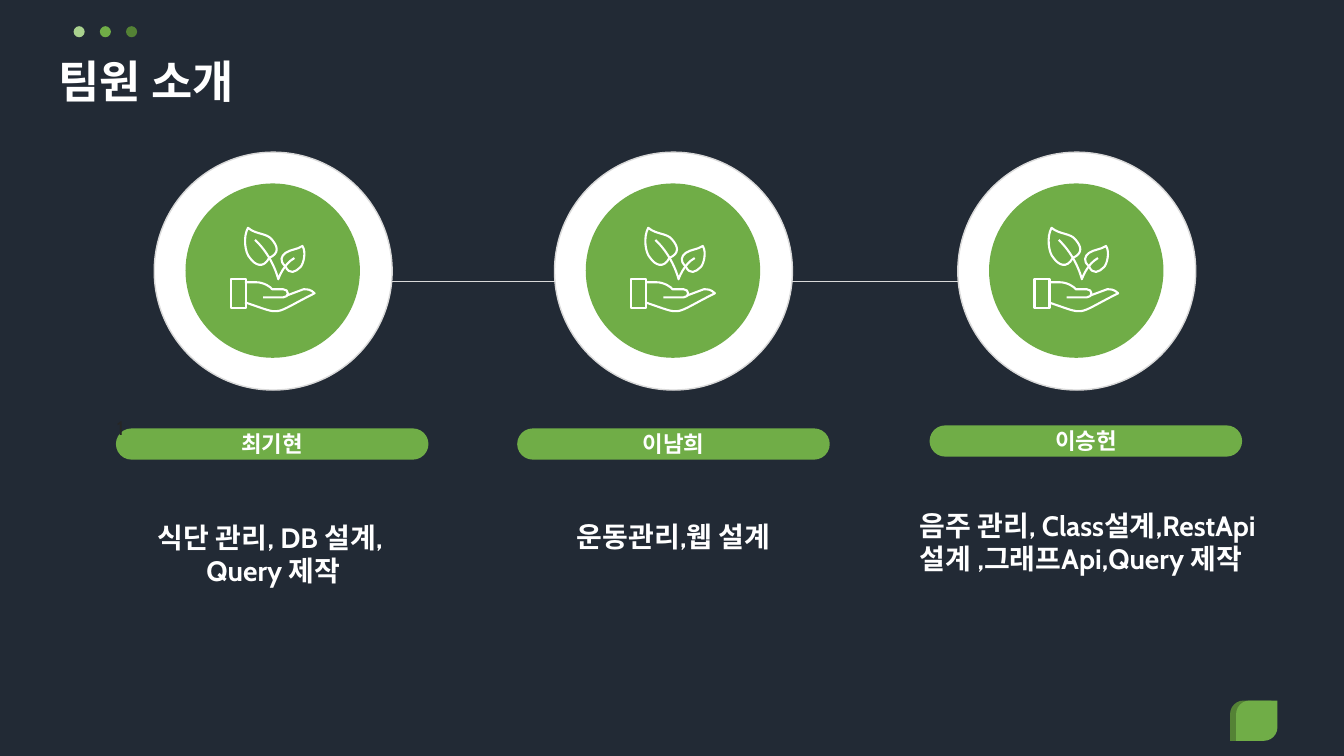
"""Build the team introduction slide."""
from dataclasses import dataclass

from lxml.etree import SubElement
from pptx import Presentation
from pptx.dml.color import RGBColor
from pptx.enum.shapes import MSO_CONNECTOR, MSO_SHAPE
from pptx.enum.text import MSO_ANCHOR, PP_ALIGN
from pptx.oxml.ns import qn
from pptx.util import Inches, Pt

COLORS = {
    "background": "222A35", "white": "FFFFFF", "rule": "D9D9D9", "number": "262626",
    "light": "A9D18E", "green": "70AD47", "dark": "548235",
}
FONT = "Cabin"
BADGE_TOP = 1.51


@dataclass(frozen=True)
class Member:
    name: str
    badge_left: float
    pill_left: float
    pill_top: float
    duty_box: tuple[float, float, float, float]
    duties: tuple[str, ...]
    duty_align: PP_ALIGN


@dataclass(frozen=True)
class Stroke:
    start: tuple[float, float]
    curves: tuple[tuple[float, float, float, float, float, float], ...]
    closed: bool = False


MEMBERS = (
    Member("최기현", 1.53, 1.15, 4.25, (0.89, 5.16, 3.58, 0.73),
           ("식단 관리, DB 설계,", " Query 제작"), PP_ALIGN.CENTER),
    Member("이남희", 5.5, 5.13, 4.25, (4.89, 5.15, 3.58, 0.59),
           ("운동관리,웹 설계",), PP_ALIGN.CENTER),
    Member("이승헌", 9.5, 9.22, 4.22, (9.12, 5.04, 3.58, 1.15),
           ("음주 관리, Class설계,RestApi 설계 ,그래프Api,Query 제작",), PP_ALIGN.LEFT),
)

PLANT_IN_HAND = (
    Stroke((1.3, 1), ((1.26, 1.03, 1.24, 1.08, 1.3, 1.13), (1.34, 1.22, 1.4, 1.19, 1.45, 1.14),
                      (1.48, 1.11, 1.51, 0.99, 1.47, 0.93), (1.41, 0.97, 1.36, 0.96, 1.3, 1)), True),
    Stroke((1.17, 0.87), ((1.22, 0.93, 1.25, 1, 1.14, 1.05), (1.08, 1.16, 1, 1.12, 0.95, 1.05),
                          (0.9, 1, 0.88, 0.84, 0.93, 0.75), (1.01, 0.82, 1.12, 0.8, 1.17, 0.87)), True),
    Stroke((1.39, 1.05), ((1.28, 1.11, 1.23, 1.26, 1.23, 1.26), (1.23, 1.26, 1.18, 1.04, 1, 0.87))),
    Stroke((0.9, 1.49), ((1.29, 1.62, 1.15, 1.62, 1.59, 1.4), (1.55, 1.36, 1.52, 1.36, 1.48, 1.36),
                         (1.32, 1.42, 1.32, 1.42, 1.32, 1.42))),
    Stroke((0.9, 1.29), ((1.01, 1.29, 1.01, 1.29, 1.01, 1.29), (1.09, 1.29, 1.16, 1.34, 1.17, 1.36),
                         (1.17, 1.36, 1.23, 1.36, 1.28, 1.36), (1.34, 1.36, 1.34, 1.44, 1.28, 1.44),
                         (1.08, 1.44, 1.08, 1.44, 1.08, 1.44))),
)


def color(key: str) -> RGBColor:
    """Return the named colour."""
    return RGBColor.from_string(COLORS[key])


def style(figure, fill: str | None = None, line: str | None = None, width: float = 1) -> None:
    """Set fill and outline and drop the shadow."""
    figure.shadow.inherit = False
    if fill:
        figure.fill.solid()
        figure.fill.fore_color.rgb = color(fill)
    else:
        figure.fill.background()
    if line:
        figure.line.color.rgb = color(line)
        figure.line.width = Pt(width)
    else:
        figure.line.fill.background()


def add_figure(canvas, preset: MSO_SHAPE, box: tuple[float, ...], fill: str | None = None,
               line: str | None = None, width: float = 1):
    """Add a styled preset shape to a slide or group."""
    figure = canvas.shapes.add_shape(preset, *map(Inches, box))
    style(figure, fill, line, width)
    return figure


def write(frame, lines: tuple[str, ...], size: float, align: PP_ALIGN,
          ink: str = "white", bold: bool = True) -> None:
    """Fill a text frame with formatted paragraphs."""
    frame.word_wrap = True
    frame.text = "\n".join(lines)
    for paragraph in frame.paragraphs:
        paragraph.alignment = align
        paragraph.font.name = FONT
        paragraph.font.size = Pt(size)
        paragraph.font.bold = bold
        paragraph.font.color.rgb = color(ink)


def set_margins(frame, side: float) -> None:
    """Set side margins and clear those above and below."""
    frame.margin_left = frame.margin_right = Inches(side)
    frame.margin_top = frame.margin_bottom = 0


def add_note(slide, box: tuple[float, ...], lines: tuple[str, ...], size: float,
             align: PP_ALIGN, ink: str = "white", bold: bool = True) -> None:
    """Add a text box without margins."""
    frame = slide.shapes.add_textbox(*map(Inches, box)).text_frame
    set_margins(frame, 0)
    write(frame, lines, size, align, ink, bold)


def add_stroke(canvas, stroke: Stroke, left: float) -> None:
    """Draw a stroke, turning each three segments into one cubic curve."""
    points = [stroke.start]
    for curve in stroke.curves:
        points += zip(curve[::2], curve[1::2])
    placed = [(Inches(left + x), Inches(BADGE_TOP + y)) for x, y in points]
    builder = canvas.shapes.build_freeform(*placed[0])
    builder.add_line_segments(placed[1:], close=stroke.closed)
    outline = builder.convert_to_shape()
    style(outline, line="white", width=1.5)
    segments = list(outline._element.iter(qn("a:lnTo")))
    for first in range(0, len(segments), 3):
        cubic = SubElement(segments[first].getparent(), qn("a:cubicBezTo"))
        segments[first].addprevious(cubic)
        for segment in segments[first:first + 3]:
            cubic.append(segment[0])
            segment.getparent().remove(segment)


def add_badge(canvas, left: float) -> None:
    """Draw the round badge with a plant in a hand."""
    add_figure(canvas, MSO_SHAPE.OVAL, (left, BADGE_TOP, 2.36, 2.36), "white", "rule")
    add_figure(canvas, MSO_SHAPE.OVAL, (left + 0.31, BADGE_TOP + 0.31, 1.73, 1.73), "green")
    add_figure(canvas, MSO_SHAPE.RECTANGLE, (left + 0.76, BADGE_TOP + 1.26, 0.15, 0.29),
               line="white", width=1.5)
    for stroke in PLANT_IN_HAND:
        add_stroke(canvas, stroke, left)


def add_name(slide, member: Member) -> None:
    """Draw a member's name in a green pill."""
    pill = add_figure(slide, MSO_SHAPE.ROUNDED_RECTANGLE,
                      (member.pill_left, member.pill_top, 3.1, 0.31), "green")
    pill.adjustments[0] = 0.5
    pill.text_frame.vertical_anchor = MSO_ANCHOR.MIDDLE
    write(pill.text_frame, (member.name,), 16, PP_ALIGN.CENTER)


def main() -> None:
    """Build and save the slide."""
    deck = Presentation()
    deck.slide_width, deck.slide_height = Inches(13.33), Inches(7.5)
    slide = deck.slides.add_slide(deck.slide_layouts[5])
    slide.background.fill.solid()
    slide.background.fill.fore_color.rgb = color("background")

    for left, shade in ((12.2, "dark"), (12.26, "green")):
        leaf = add_figure(slide, MSO_SHAPE.ROUND_2_DIAG_RECTANGLE, (left, 6.95, 0.41, 0.4), shade)
        leaf.adjustments[0] = 0.336
    for index, shade in enumerate(("light", "green", "dark")):
        add_figure(slide, MSO_SHAPE.OVAL, (0.73 + 0.26 * index, 0.26, 0.11, 0.11), shade)

    heading = slide.shapes.title
    heading.left, heading.top, heading.width, heading.height = map(Inches, (0.54, 0.47, 12, 0.72))
    set_margins(heading.text_frame, 0.04)
    heading.text_frame.vertical_anchor = MSO_ANCHOR.MIDDLE
    write(heading.text_frame, ("팀원 소개",), 32, PP_ALIGN.LEFT)
    heading.text_frame.paragraphs[0].line_spacing = 0.9

    for member in MEMBERS:
        add_name(slide, member)
    add_note(slide, (1.16, 4.13, 3.1, 2.55), ("1",), 14, PP_ALIGN.LEFT, "number", False)

    team = slide.shapes.add_group_shape()
    team_link = team.shapes.add_connector(
        MSO_CONNECTOR.STRAIGHT, *map(Inches, (2.65, 2.79, 10.31, 2.79)))
    team_link.line.color.rgb = color("rule")
    team_link.line.width = Pt(0.5)
    SubElement(team_link._element.spPr, qn("a:effectLst"))
    for member in MEMBERS:
        add_badge(team, member.badge_left)
    for member in MEMBERS:
        add_note(slide, member.duty_box, member.duties, 20, member.duty_align)
    deck.save("out.pptx")


if __name__ == "__main__":
    main()
